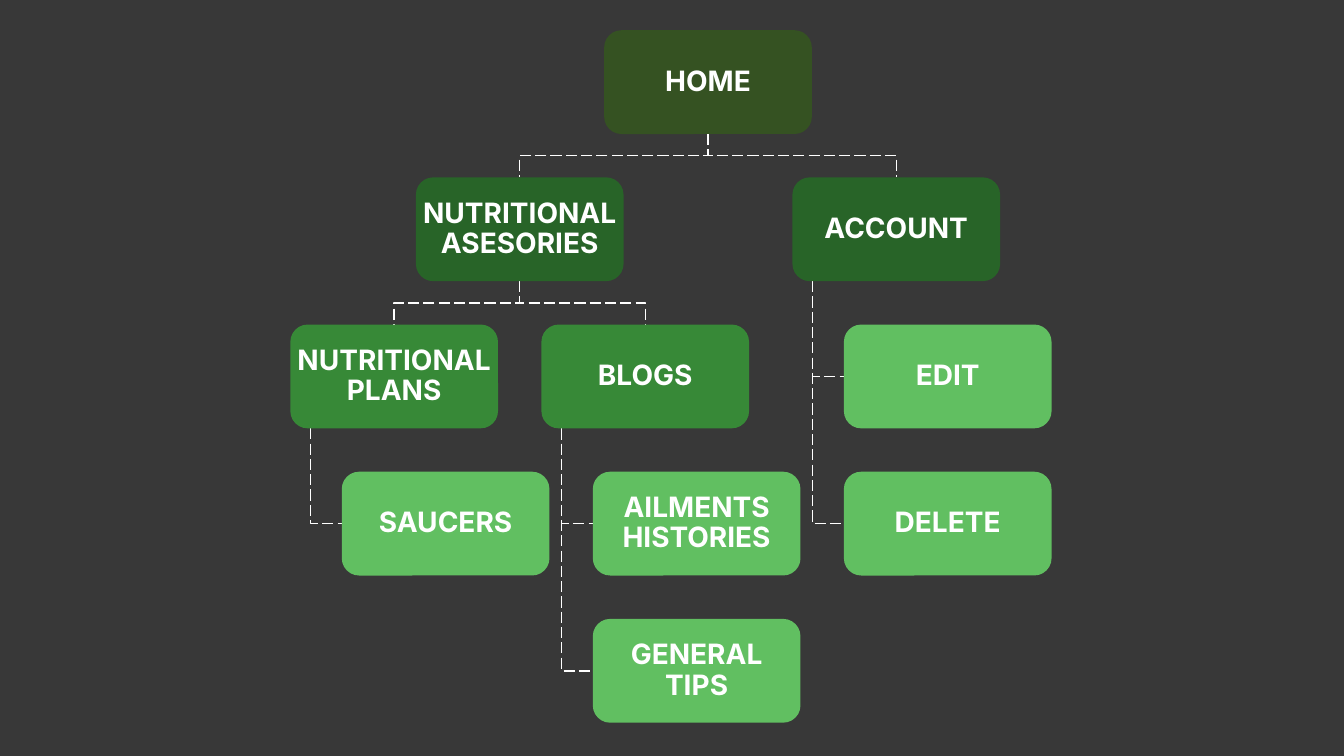
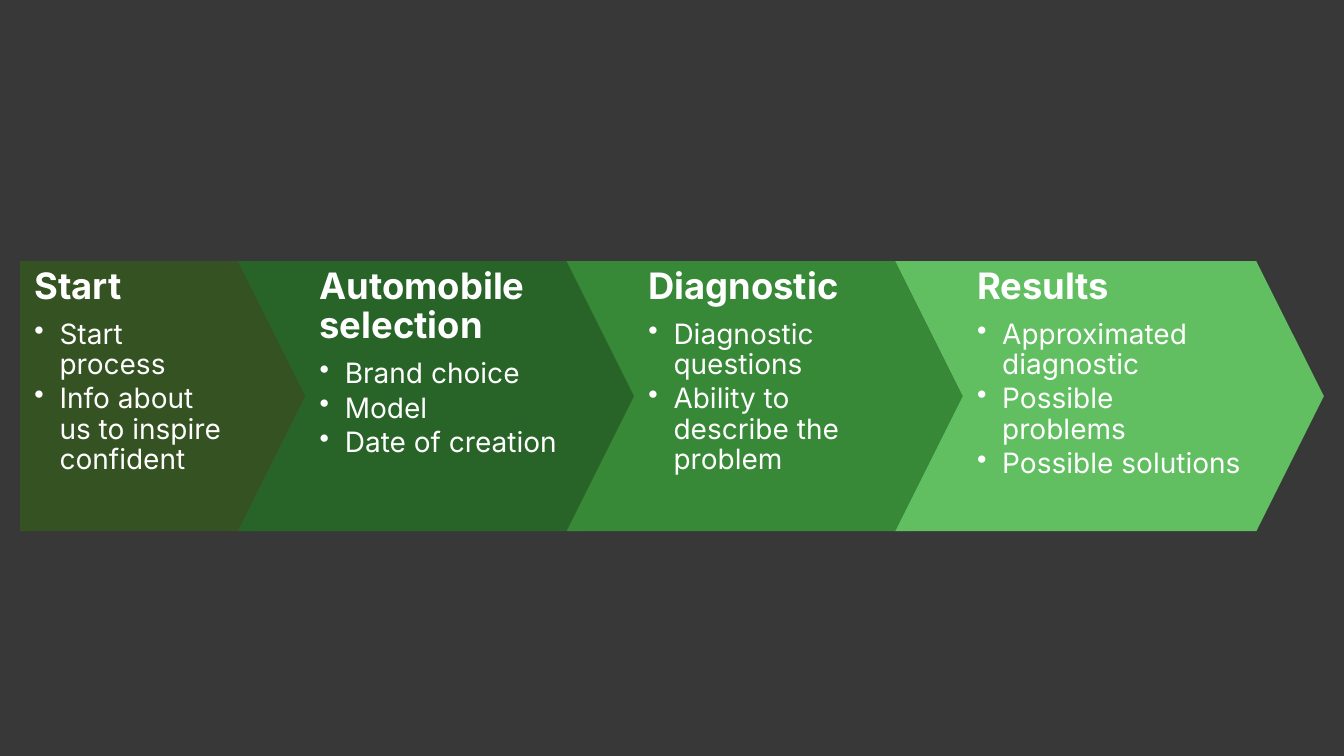
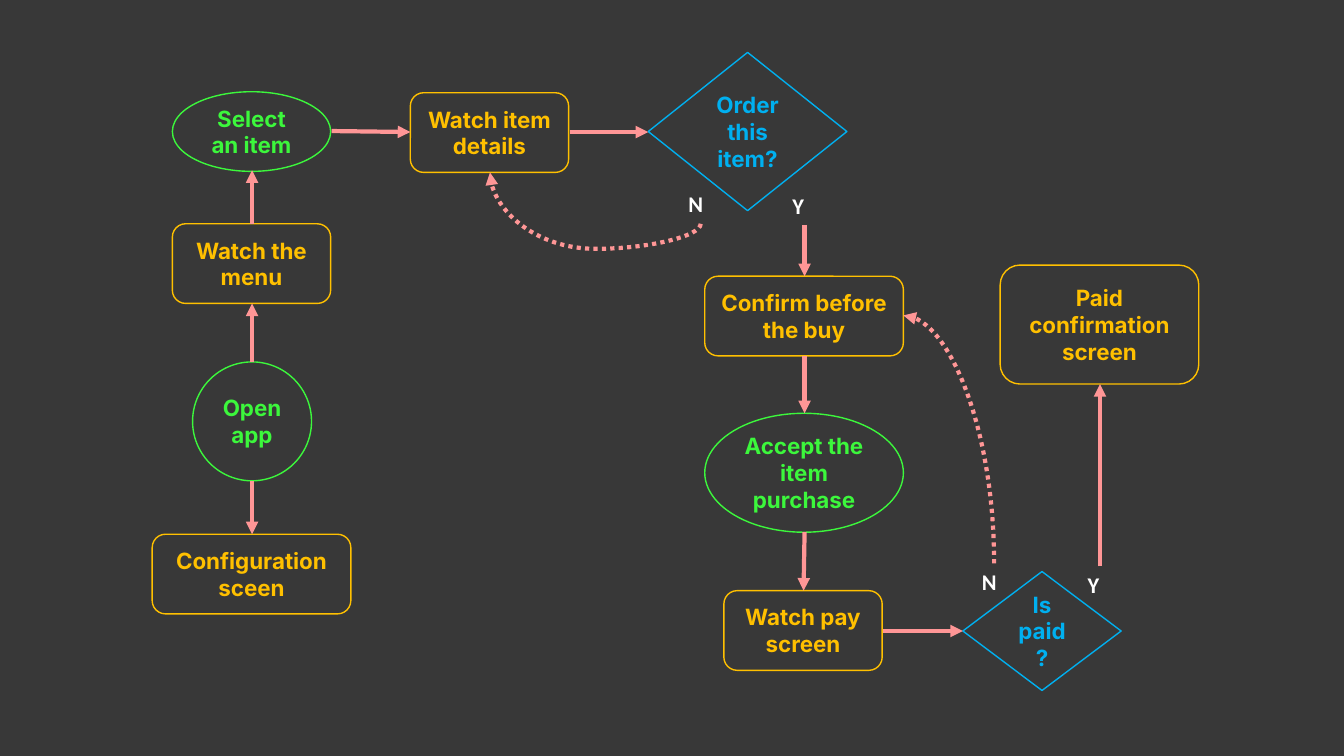
from lxml import etree
from pptx import Presentation
from pptx.dml.color import RGBColor
from pptx.enum.dml import MSO_LINE
from pptx.enum.shapes import MSO_CONNECTOR, MSO_SHAPE
from pptx.enum.text import MSO_ANCHOR, PP_ALIGN
from pptx.oxml.ns import qn
from pptx.util import Inches, Pt

ROUND, OVAL = MSO_SHAPE.ROUNDED_RECTANGLE, MSO_SHAPE.OVAL
DIAMOND = MSO_SHAPE.DIAMOND
PLATE, CHEVRON = MSO_SHAPE.PENTAGON, MSO_SHAPE.CHEVRON
STRAIGHT, CURVE = MSO_CONNECTOR.STRAIGHT, MSO_CONNECTOR.CURVE
LONG, DOTS = MSO_LINE.LONG_DASH, MSO_LINE.ROUND_DOT
CENTER, MIDDLE = PP_ALIGN.CENTER, MSO_ANCHOR.MIDDLE


class Theme:
    back = "383838"
    white = "FFFFFF"
    greens = ["355222", "286428", "378937", "61BF61"]
    lime, gold, blue, pink = "3CF73C", "FFC000", "00B0F0", "FF9696"
    font, mark = "Inter", "Calibri"
    head, body, small = 26, 20, 16


def draw(slide, kind, x, y, w, h, fill=None, line=None):
    """Add a shape with a plain fill or a thin outline."""
    shape = slide.shapes.add_shape(
        kind, Inches(x), Inches(y), Inches(w), Inches(h))
    shape.shadow.inherit = False
    if fill:
        shape.fill.solid()
        shape.fill.fore_color.rgb = RGBColor.from_string(fill)
    else:
        shape.fill.background()
    if line:
        shape.line.color.rgb = RGBColor.from_string(line)
        shape.line.width = Pt(1)
    else:
        shape.line.fill.background()
    return shape


def write(para, text, size, color=Theme.white, bold=True, font=Theme.font):
    """Add one run of text to a paragraph."""
    run = para.add_run()
    run.text = text
    run.font.name = font
    run.font.size = Pt(size)
    run.font.bold = bold
    run.font.color.rgb = RGBColor.from_string(color)


deck = Presentation()
deck.slide_width, deck.slide_height = Inches(13.33), Inches(7.5)
paper = deck.slide_master.background.fill
paper.solid()
paper.fore_color.rgb = RGBColor.from_string(Theme.back)
blank = deck.slide_layouts[6]

# Slide 1: site map, as label, column, row, parent, hung from its side
slide = deck.slides.add_slide(blank)
nodes = [
    ("HOME", 1.25, 0, None, False),
    ("NUTRITIONAL ASESORIES", 0.5, 1, 0, False),
    ("NUTRITIONAL PLANS", 0, 2, 1, False),
    ("SAUCERS", 0, 3, 2, True),
    ("BLOGS", 1, 2, 1, False),
    ("AILMENTS HISTORIES", 1, 3, 4, True),
    ("GENERAL TIPS", 1, 4, 4, True),
    ("ACCOUNT", 2, 1, 0, False),
    ("EDIT", 2, 2, 7, True),
    ("DELETE", 2, 3, 7, True),
]
wide, high, pitch = 2.06, 1.03, 1.46
spots = [(2.88 + 2.49 * col + (0.51 if hung else 0), 0.3 + pitch * row)
         for _, col, row, _, hung in nodes]

# Dashed links, behind the boxes
for (_, _, _, parent, hung), (x, y) in zip(nodes, spots):
    if parent is None:
        continue
    left, top = spots[parent]
    base = top + high
    if hung:
        stem, mid = left + 0.2, y + high / 2
        route = [(stem, base), (stem, mid), (x, mid)]
    else:
        stem, end, mid = left + wide / 2, x + wide / 2, (base + y) / 2
        route = [(stem, base), (stem, mid), (end, mid), (end, y)]
    route = [(Inches(a), Inches(b)) for a, b in route]
    path = slide.shapes.build_freeform(*route[0])
    path.add_line_segments(route[1:], close=False)
    link = path.convert_to_shape()
    link.shadow.inherit = False
    link.fill.background()
    link.line.color.rgb = RGBColor.from_string(Theme.white)
    link.line.width = Pt(1)
    link.line.dash_style = LONG

# Boxes
for (label, _, row, _, hung), (x, y) in zip(nodes, spots):
    fill = Theme.greens[3 if hung else row]
    frame = draw(slide, ROUND, x, y, wide, high, fill).text_frame
    frame.word_wrap = True
    frame.vertical_anchor = MIDDLE
    frame.margin_left = frame.margin_right = Inches(0.01)
    frame.margin_top = frame.margin_bottom = Inches(0.01)
    para = frame.paragraphs[0]
    para.alignment = CENTER
    para.line_spacing = 0.9
    para.space_after = Pt(7)
    write(para, label, Theme.body)

# Slide 2: process arrows
slide = deck.slides.add_slide(blank)
steps = [
    ("Start", 2.97, ["Start process", "Info about us to inspire confident"]),
    ("Automobile selection", 4.07,
     ["Brand choice", "Model", "Date of creation"]),
    ("Diagnostic", 4.07,
     ["Diagnostic questions", "Ability to describe the problem"]),
    ("Results", 4.25,
     ["Approximated diagnostic", "Possible problems", "Possible solutions"]),
]
top, tall = 2.59, 2.68
tip = tall / 4
for i, (title, width, points) in enumerate(steps):
    first = i == 0
    x = 0.2 if first else 2.36 + 3.26 * (i - 1)
    arrow = draw(slide, PLATE if first else CHEVRON, x, top, width, tall,
                 Theme.greens[i])
    arrow.adjustments[0] = 0.25
    inset, room = (0, width - tip / 2) if first else (tip, width - 2 * tip)
    box = slide.shapes.add_textbox(
        Inches(x + inset), Inches(top), Inches(room), Inches(tall))
    frame = box.text_frame
    frame.word_wrap = True
    frame.margin_left = Inches(0.14)
    frame.margin_right = Inches(0.57 if first else 0.14)
    frame.margin_top = frame.margin_bottom = Inches(0.07)
    para = frame.paragraphs[0]
    para.line_spacing = 0.9
    para.space_after = Pt(9)
    write(para, title, Theme.head)
    for point in points:
        para = frame.add_paragraph()
        para.level = 1
        para.line_spacing = 0.9
        para.space_after = Pt(3)
        props = para._p.get_or_add_pPr()
        props.set("marL", str(Inches(0.25)))
        props.set("indent", str(Inches(-0.25)))
        etree.SubElement(props, qn("a:buChar")).set("char", "•")
        write(para, point, Theme.body, bold=False)

# Slide 3: purchase flow
slide = deck.slides.add_slide(blank)
tints = {OVAL: Theme.lime, ROUND: Theme.gold, DIAMOND: Theme.blue}
stages = [
    (OVAL, 1.91, 3.59, 1.18, 1.18, "Open app"),
    (ROUND, 1.71, 2.22, 1.57, 0.79, "Watch the menu"),
    (OVAL, 1.71, 0.91, 1.57, 0.79, "Select an item"),
    (ROUND, 1.51, 5.3, 1.97, 0.79, "Configuration sceen"),
    (ROUND, 4.07, 0.92, 1.57, 0.79, "Watch item details"),
    (DIAMOND, 6.43, 0.52, 1.97, 1.57, "Order this item?"),
    (ROUND, 6.99, 2.74, 1.97, 0.79, "Confirm before the buy"),
    (OVAL, 6.99, 4.1, 1.97, 1.18, "Accept the item purchase"),
    (ROUND, 7.18, 5.86, 1.57, 0.79, "Watch pay screen"),
    (DIAMOND, 9.55, 5.67, 1.57, 1.18, "Is paid?"),
    (ROUND, 9.92, 2.63, 1.97, 1.18, "Paid confirmation screen"),
]
for kind, x, y, w, h, label in stages:
    frame = draw(slide, kind, x, y, w, h, line=tints[kind]).text_frame
    frame.word_wrap = True
    frame.vertical_anchor = MIDDLE
    para = frame.paragraphs[0]
    para.alignment = CENTER
    write(para, label, Theme.small, tints[kind])

# Answers beside the diamonds
for label, x, y in [("N", 6.73, 1.84), ("Y", 7.76, 1.86),
                    ("N", 9.64, 5.59), ("Y", 10.69, 5.62)]:
    box = slide.shapes.add_textbox(
        Inches(x), Inches(y), Inches(0.43), Inches(0.37))
    box.text_frame.word_wrap = True
    write(box.text_frame.paragraphs[0], label, Theme.small, font=Theme.mark)

# Arrows: ends, then turn, preset and bend for the curved ones,
# whose ends are given before the turn
arrows = [
    ((2.5, 3.59, 2.5, 3.01), None),
    ((2.5, 2.22, 2.5, 1.69), None),
    ((2.5, 4.77, 2.5, 5.3), None),
    ((3.29, 1.3, 4.07, 1.31), None),
    ((5.65, 1.31, 6.43, 1.31), None),
    ((7.98, 2.23, 7.98, 2.74), None),
    ((7.98, 3.53, 7.98, 4.1), None),
    ((7.98, 5.28, 7.97, 5.86), None),
    ((8.76, 6.26, 9.55, 6.26), None),
    ((10.91, 5.62, 10.91, 3.81), None),
    ((6.16, 0.92, 5.65, 3.01), (90, "curvedConnector3", -48800)),
    ((8.18, 4.81, 10.64, 3.91), (270, "curvedConnector2", None)),
]
for ends, curve in arrows:
    arrow = slide.shapes.add_connector(
        CURVE if curve else STRAIGHT, *[Inches(end) for end in ends])
    arrow.line.color.rgb = RGBColor.from_string(Theme.pink)
    arrow.line.width = Pt(3)
    props = arrow.element.spPr
    if curve:
        turn, preset, bend = curve
        arrow.line.dash_style = DOTS
        props.find(qn("a:xfrm")).set("rot", str(turn * 60000))
        shape = props.find(qn("a:prstGeom"))
        shape.set("prst", preset)
        if bend:
            guide = etree.SubElement(shape.find(qn("a:avLst")), qn("a:gd"))
            guide.set("name", "adj1")
            guide.set("fmla", f"val {bend}")
    tail = etree.SubElement(props.find(qn("a:ln")), qn("a:tailEnd"))
    tail.set("type", "triangle")
    etree.SubElement(props, qn("a:effectLst"))

deck.save("out.pptx")
